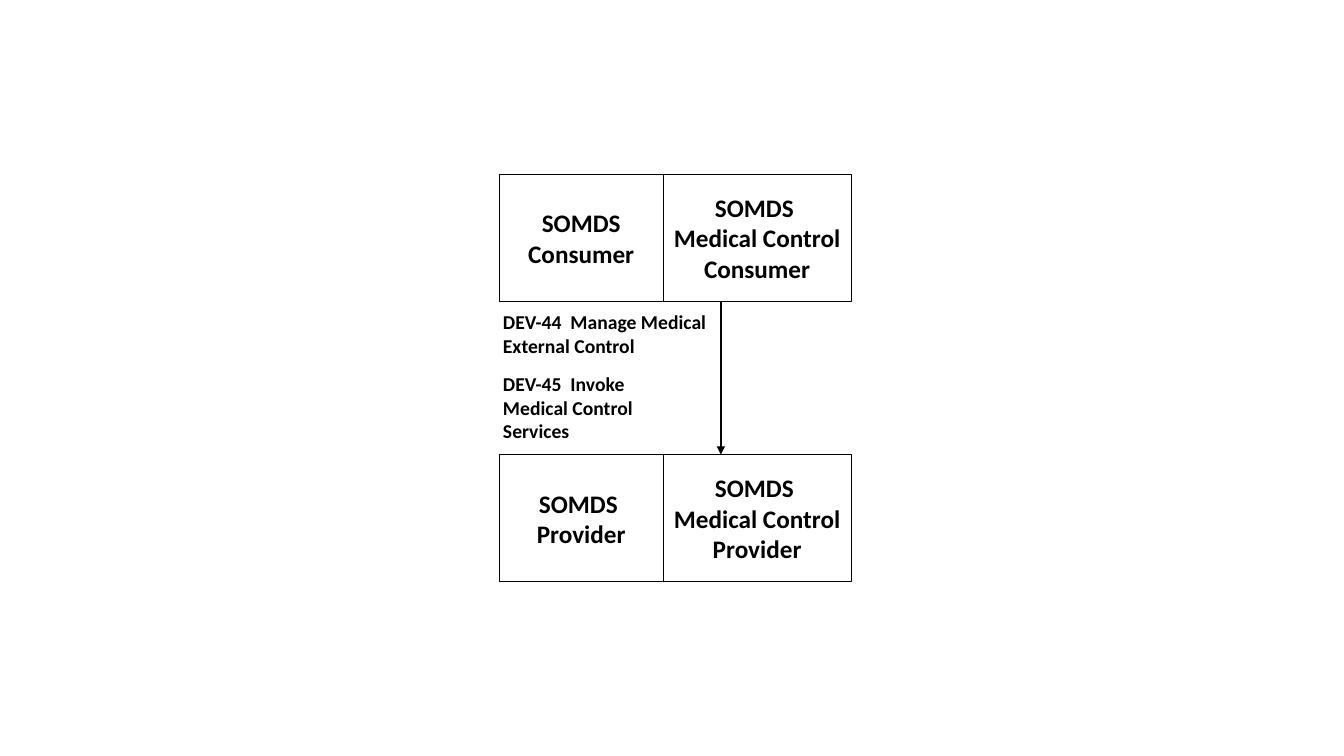
import pptx
import pptx.dml.color
import pptx.enum.shapes
import pptx.enum.text
import pptx.oxml
import pptx.oxml.ns
import pptx.util

Inches = pptx.util.Inches
Pt = pptx.util.Pt
ALIGN = pptx.enum.text.PP_ALIGN
ANCHOR = pptx.enum.text.MSO_ANCHOR

BLACK = "000000"
WHITE = "FFFFFF"
LEFT = 4.95
CONSUMER_TOP = 1.73
PROVIDER_TOP = 4.51
ROLE_W = 1.63
CONTROL_W = 1.86
ACTOR_H = 1.26
ARROW_X = 7.15


def color(value):
    return pptx.dml.color.RGBColor.from_string(value)


def write(tf, lines, size, align):
    tf.word_wrap = True
    for i, line in enumerate(lines):
        p = tf.paragraphs[0] if i == 0 else tf.add_paragraph()
        p.alignment = align
        r = p.add_run()
        r.text = line
        for name, value in {"name": "Calibri", "size": Pt(size), "bold": True}.items():
            setattr(r.font, name, value)
        r.font.color.rgb = color(BLACK)


def add_box(s, x, y, w, h, lines):
    sp = s.shapes.add_shape(pptx.enum.shapes.MSO_SHAPE.RECTANGLE,
                            Inches(x), Inches(y), Inches(w), Inches(h))
    sp.shadow.inherit = False
    sp.fill.solid()
    sp.fill.fore_color.rgb = color(WHITE)
    sp.line.color.rgb = color(BLACK)
    sp.line.width = Pt(0.5)
    sp.text_frame.vertical_anchor = ANCHOR.MIDDLE
    write(sp.text_frame, lines, 18, ALIGN.CENTER)


def add_actor(s, x, y, role_lines, control_lines):
    add_box(s, x, y, ROLE_W, ACTOR_H, role_lines)
    add_box(s, x + ROLE_W, y, CONTROL_W, ACTOR_H, control_lines)


def add_transaction(s, x, y, w, h, text):
    sp = s.shapes.add_textbox(Inches(x), Inches(y), Inches(w), Inches(h))
    write(sp.text_frame, [text], 14, ALIGN.LEFT)
    sp.text_frame.auto_size = pptx.enum.text.MSO_AUTO_SIZE.SHAPE_TO_FIT_TEXT


def add_arrow(s, x, top, bottom):
    sp = s.shapes.add_connector(pptx.enum.shapes.MSO_CONNECTOR.STRAIGHT,
                                Inches(x), Inches(top), Inches(x), Inches(bottom))
    sp.line.color.rgb = color(BLACK)
    sp.line.width = Pt(1.5)
    ns = pptx.oxml.ns.nsdecls("a")
    sp.line._get_or_add_ln().append(
        pptx.oxml.parse_xml(f'<a:tailEnd {ns} type="triangle"/>'))
    sp._element.spPr.append(pptx.oxml.parse_xml(f"<a:effectLst {ns}/>"))


def main():
    prs = pptx.Presentation()
    prs.slide_width = Inches(13.33)
    prs.slide_height = Inches(7.5)
    s = prs.slides.add_slide(prs.slide_layouts[6])
    add_actor(s, LEFT, PROVIDER_TOP, ["SOMDS ", "Provider"],
              ["SOMDS ", "Medical Control Provider"])
    add_actor(s, LEFT, CONSUMER_TOP, ["SOMDS Consumer"],
              ["SOMDS ", "Medical Control Consumer"])
    label_x = LEFT - 0.06
    add_transaction(s, label_x, 3.03, 2.26, 0.57,
                    "DEV-44  Manage Medical External Control")
    add_arrow(s, ARROW_X, CONSUMER_TOP + ACTOR_H, PROVIDER_TOP)
    add_transaction(s, label_x, 3.64, 2.02, 0.81,
                    "DEV-45  Invoke Medical Control Services")
    prs.save("out.pptx")


if __name__ == "__main__":
    main()
